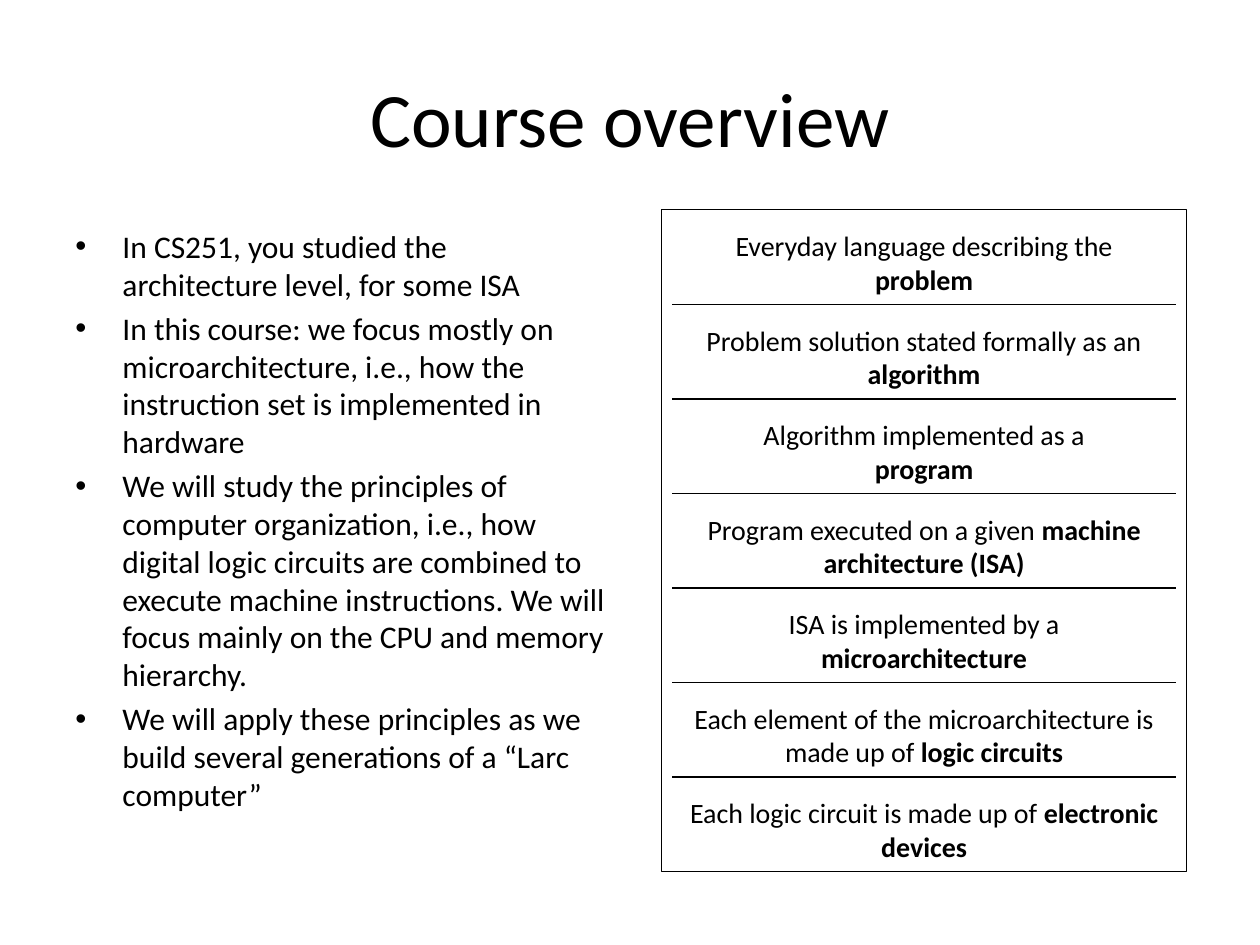
"""Build the course overview slide with its stack of abstraction levels."""
from lxml import etree
from pptx import Presentation
from pptx.dml.color import RGBColor
from pptx.enum.shapes import MSO_CONNECTOR, MSO_SHAPE
from pptx.enum.text import MSO_ANCHOR, PP_ALIGN
from pptx.oxml.ns import qn
from pptx.util import Cm, Pt

LEFT = PP_ALIGN.LEFT
CENTER = PP_ALIGN.CENTER
TOP = MSO_ANCHOR.TOP
MIDDLE = MSO_ANCHOR.MIDDLE
STRAIGHT = MSO_CONNECTOR.STRAIGHT
RECTANGLE = MSO_SHAPE.RECTANGLE
BLACK = "000000"
FONT = "Calibri"

TITLE = "Course overview"
BULLETS = [
    "In CS251, you studied the architecture level, for some ISA",
    "In this course: we focus mostly on microarchitecture, i.e., how the "
    "instruction set is implemented in hardware",
    "We will study the principles of computer organization, i.e., how digital "
    "logic circuits are combined to execute machine instructions. We will "
    "focus mainly on the CPU and memory hierarchy.",
    "We will apply these principles as we build several generations of a "
    "“Larc computer”",
]
LEVELS = [
    [("Everyday language describing the ", "problem")],
    [("Problem solution stated formally as an ", "algorithm")],
    [("Algorithm implemented as a", ""), ("", "program")],
    [("Program executed on a given ", "machine architecture (ISA)")],
    [("ISA is implemented by a ", "microarchitecture")],
    [("Each element of the microarchitecture is made up of ", "logic circuits")],
    [("Each logic circuit is made up of ", "electronic devices")],
]

MARGIN = 1.27
BULLET_INDENT = 0.95
STACK_LEFT = 13.34
STACK_TOP = 4.23
STACK_WIDTH = 10.58
STACK_HEIGHT = 13.34
STACK_PADDING = 0.21
LEVEL_LEFT = STACK_LEFT + STACK_PADDING
LEVEL_WIDTH = STACK_WIDTH - 2 * STACK_PADDING
LEVEL_PITCH = STACK_HEIGHT / len(LEVELS)


def add_text(left, top, width, height, paragraphs, size, align, anchor):
    """Add a text box whose paragraphs are (plain, bold) pairs; return its frame."""
    box = page.shapes.add_textbox(Cm(left), Cm(top), Cm(width), Cm(height))
    frame = box.text_frame
    frame.word_wrap = True
    frame.vertical_anchor = anchor
    for index, (plain, bold) in enumerate(paragraphs):
        para = frame.paragraphs[0] if index == 0 else frame.add_paragraph()
        para.alignment = align
        para.font.size = Pt(size)
        para.font.name = FONT
        para.font.color.rgb = RGBColor.from_string(BLACK)
        if plain:
            para.add_run().text = plain
        if bold:
            span = para.add_run()
            span.text = bold
            span.font.bold = True
    return frame


def set_outline(shape, color):
    """Give a shape or connector a thin line."""
    shape.line.color.rgb = RGBColor.from_string(color)
    shape.line.width = Pt(0.75)


deck = Presentation()
deck.slide_width = Cm(25.4)
deck.slide_height = Cm(19.05)
page = deck.slides.add_slide(deck.slide_layouts[6])

add_text(MARGIN, 0.76, 22.86, 3.18, [(TITLE, "")], 44, CENTER, MIDDLE)

bullet_pairs = [(text, "") for text in BULLETS]
body = add_text(MARGIN, 4.45, 11.23, 12.57, bullet_pairs, 18, LEFT, TOP)
for para in body.paragraphs:
    para.space_before = Pt(3.6)
    properties = para._p.get_or_add_pPr()
    properties.set("marL", str(Cm(BULLET_INDENT)))
    properties.set("indent", str(Cm(-BULLET_INDENT)))
    defaults = properties.find(qn("a:defRPr"))
    defaults.addprevious(etree.Element(qn("a:buFont"), typeface="Arial"))
    defaults.addprevious(etree.Element(qn("a:buChar"), char="•"))

for index, paragraphs in enumerate(LEVELS):
    top = STACK_TOP + index * LEVEL_PITCH
    add_text(LEVEL_LEFT, top + STACK_PADDING, LEVEL_WIDTH,
             LEVEL_PITCH - STACK_PADDING, paragraphs, 16, CENTER, MIDDLE)

border = page.shapes.add_shape(
    RECTANGLE, Cm(STACK_LEFT), Cm(STACK_TOP), Cm(STACK_WIDTH), Cm(STACK_HEIGHT))
border.shadow.inherit = False
border.fill.background()
set_outline(border, BLACK)

for index in range(1, len(LEVELS)):
    height = Cm(STACK_TOP + index * LEVEL_PITCH)
    divider = page.shapes.add_connector(
        STRAIGHT, Cm(LEVEL_LEFT), height, Cm(LEVEL_LEFT + LEVEL_WIDTH), height)
    set_outline(divider, BLACK)
    etree.SubElement(divider._element.spPr, qn("a:effectLst"))

deck.save("out.pptx")
